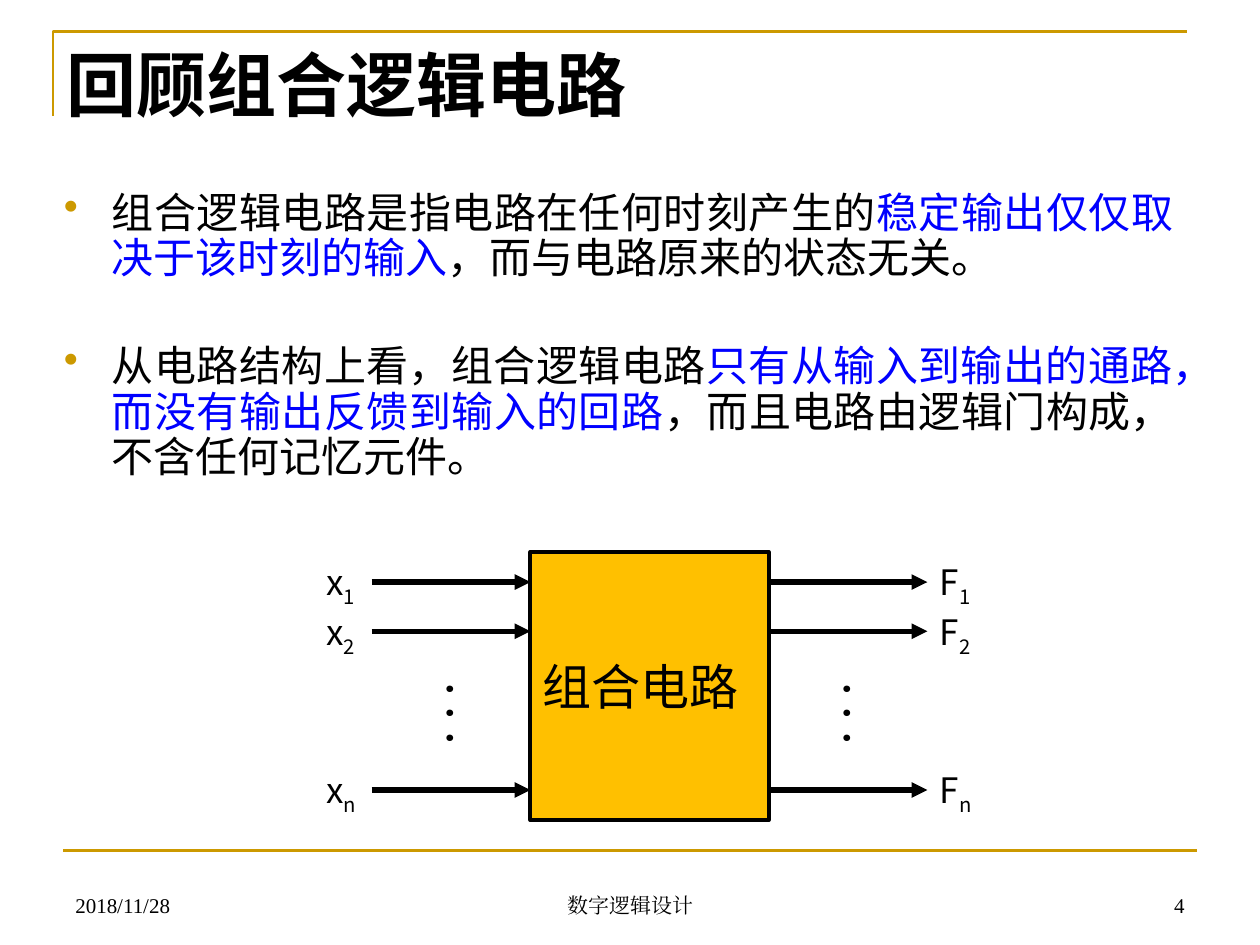
"""Build the slide that reviews combinational logic circuits."""
from lxml.etree import SubElement as Sub
from pptx import Presentation
from pptx.dml.color import RGBColor as RGB
from pptx.enum.shapes import MSO_CONNECTOR as Conn, MSO_SHAPE as Shape
from pptx.enum.text import MSO_ANCHOR as Anchor, PP_ALIGN as Align
from pptx.oxml.ns import qn
from pptx.util import Inches, Pt

HUES = {"ink": "000000", "blue": "0000FF", "gold": "CC9900", "amber": "FFC000"}
SANS, SERIF = "Noto Sans CJK SC", "Times New Roman"

prs = Presentation()
prs.slide_width, prs.slide_height = Inches(10), Inches(7.5)
shapes = prs.slides.add_slide(prs.slide_layouts[6]).shapes


def write(para, text, size, font=SANS, hue="ink", bold=False, base=0):
    run = para.add_run()
    run.text = text
    run.font.size, run.font.name, run.font.bold = Pt(size), font, bold
    run.font.color.rgb = RGB.from_string(HUES[hue])
    props = run.font._element
    Sub(props, qn("a:ea"), typeface=font)
    if base:
        props.set("baseline", str(base))


def draw(x1, y1, x2, y2, hue, width, arrow=False):
    line = shapes.add_connector(Conn.STRAIGHT, Inches(x1), Inches(y1), Inches(x2), Inches(y2))
    line.line.color.rgb = RGB.from_string(HUES[hue])
    line.line.width = Pt(width)
    if arrow:
        Sub(line.line._get_or_add_ln(), qn("a:tailEnd"), type="triangle")
    Sub(line._element.spPr, qn("a:effectLst"))


pen = shapes.build_freeform(Inches(0.42), Inches(0.92))
pen.add_line_segments([(Inches(0.42), Inches(0.25)), (Inches(9.42), Inches(0.25))], close=False)
frame = pen.convert_to_shape()
frame.shadow.inherit = False
frame.fill.background()
frame.line.color.rgb = RGB.from_string(HUES["gold"])
frame.line.width = Pt(1.5)
draw(0.5, 6.75, 9.5, 6.75, "gold", 1.5)

for left, width, align, text in [
    (0.5, 2.33, Align.LEFT, "2018/11/28"),
    (3.42, 3.17, Align.CENTER, "数字逻辑设计"),
    (7.17, 2.33, Align.RIGHT, "4"),
]:
    foot = shapes.add_textbox(Inches(left), Inches(6.83), Inches(width), Inches(0.5)).text_frame
    foot.word_wrap = True
    foot.vertical_anchor = Anchor.BOTTOM
    foot.paragraphs[0].alignment = align
    write(foot.paragraphs[0], text, 12, SERIF)

title = shapes.add_textbox(Inches(0.43), Inches(0.28), Inches(7.72), Inches(0.77)).text_frame
title.word_wrap = True
write(title.paragraphs[0], "回顾组合逻辑电路", 40, bold=True)

body = shapes.add_textbox(Inches(0.41), Inches(1.47), Inches(9), Inches(3.7)).text_frame
body.word_wrap = True
points = [
    (4.8, "组合逻辑电路是指电路在任何时刻产生的", "稳定输出仅仅取决于该时刻的输入",
     "，而与电路原来的状态无关。"),
    (35.6, "从电路结构上看，组合逻辑电路", "只有从输入到输出的通路，而没有输出反馈到输入的回路",
     "，而且电路由逻辑门构成，不含任何记忆元件。"),
]
for i, (gap, *parts) in enumerate(points):
    para = body.add_paragraph() if i else body.paragraphs[0]
    para.alignment = Align.JUSTIFY
    para.line_spacing, para.space_before = Pt(26), Pt(gap)
    props = para._p.get_or_add_pPr()
    props.set("marL", str(Inches(0.38)))
    props.set("indent", str(-Inches(0.38)))
    Sub(Sub(props, qn("a:buClr")), qn("a:srgbClr"), val=HUES["gold"])
    Sub(props, qn("a:buChar"), char="•")
    for text, hue in zip(parts, ("ink", "blue", "ink")):
        write(para, text, 24, hue=hue)

block = shapes.add_shape(Shape.RECTANGLE, Inches(4.21), Inches(4.38), Inches(1.89), Inches(2.13))
block.shadow.inherit = False
block.fill.solid()
block.fill.fore_color.rgb = RGB.from_string(HUES["amber"])
block.line.color.rgb = RGB.from_string(HUES["ink"])
block.line.width = Pt(2.25)
block.text_frame.vertical_anchor = Anchor.MIDDLE
block.text_frame.paragraphs[0].alignment = Align.LEFT
write(block.text_frame.paragraphs[0], "组合电路", 28)

for name, start, side in [("x", 2.95, 2.49), ("F", 6.1, 7.36)]:
    for sub, y, top in [("1", 4.62, 4.4), ("2", 5.01, 4.8), ("n", 6.27, 6.05)]:
        draw(start, y, start + 1.26, y, "ink", 3, arrow=True)
        label = shapes.add_textbox(Inches(side), Inches(top), Inches(0.47), Inches(0.44)).text_frame
        label.word_wrap = True
        write(label.paragraphs[0], name, 20)
        write(label.paragraphs[0], sub, 20, base=-25000)
    dots = shapes.add_textbox(Inches(start + 0.41), Inches(5.38), Inches(0.7), Inches(0.57))
    dots.rotation = 90
    dots.text_frame.word_wrap = False
    dots.text_frame.vertical_anchor = Anchor.MIDDLE
    write(dots.text_frame.paragraphs[0], ". . .", 28)

prs.save("out.pptx")
